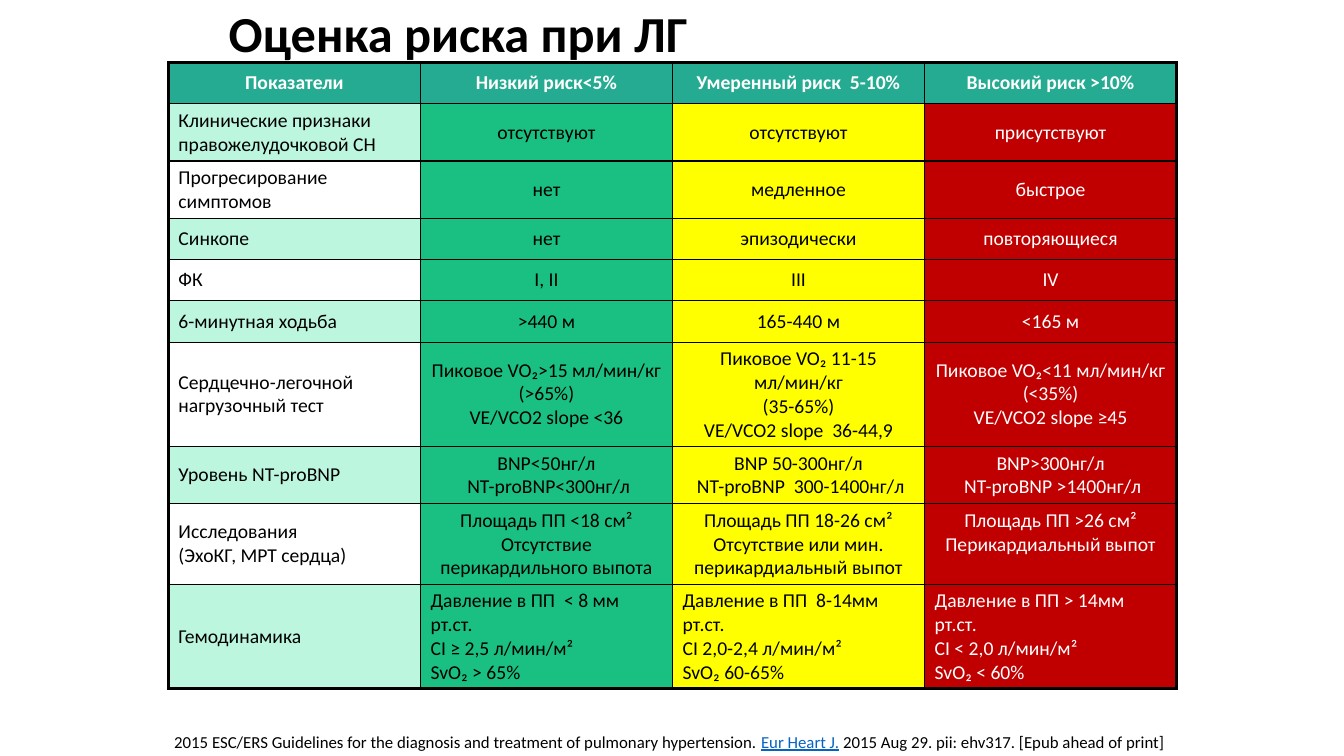
from dataclasses import dataclass

from lxml.etree import SubElement
from pptx import Presentation
from pptx.dml.color import RGBColor
from pptx.enum.text import MSO_ANCHOR as Anchor, PP_ALIGN as Align
from pptx.oxml.ns import qn
from pptx.util import Inches, Pt

FONT = "Calibri"
BLACK, WHITE = "000000", "FFFFFF"
HEAD, MINT = "25AB91", "BCF6DF"
RISKS = ("1AC081", "FFFF00", "C00000")
THIN, THICK = 1, 2.25


@dataclass
class Row:
    cells: tuple[str, str, str, str]
    height: float = 0.41
    align: Align = Align.CENTER
    last: Anchor = Anchor.MIDDLE


@dataclass
class Span:
    text: str
    color: str = BLACK
    line: bool = False


ROWS = [
    Row(("Показатели", "Низкий риск<5%", "Умеренный риск  5-10%", "Высокий риск >10%")),
    Row(("Клинические признаки правожелудочковой СН",
         "отсутствуют", "отсутствуют", "присутствуют")),
    Row(("Прогресирование симптомов", "нет", "медленное", "быстрое")),
    Row(("Синкопе", "нет", "эпизодически", "повторяющиеся")),
    Row(("ФК", "І, ІІ", "ІІІ", "ІV")),
    Row(("6-минутная ходьба", ">440 м", "165-440 м", "<165 м")),
    Row(("Сердцечно-легочной нагрузочный тест",
         "Пиковое VO₂>15 мл/мин/кг\n(>65%)\nVE/VCO2 slope <36",
         "Пиковое VO₂ 11-15 мл/мин/кг\n(35-65%)\nVE/VCO2 slope  36-44,9",
         "Пиковое VO₂<11 мл/мин/кг\n(<35%)\nVE/VCO2 slope ≥45"), 0.87),
    Row(("Уровень NТ-proBNP",
         "BNP<50нг/л\n NТ-proBNP<300нг/л",
         "BNP 50-300нг/л\n NТ-proBNP  300-1400нг/л",
         "BNP>300нг/л\n NТ-proBNP >1400нг/л")),
    Row(("Исследования\n(ЭхоКГ, МРТ сердца)",
         "Площадь ПП <18 см²\nОтсутствие перикардильного выпота",
         "Площадь ПП 18-26 см²\nОтсутствие или мин. перикардиальный выпот",
         "Площадь ПП >26 см²\nПерикардиальный выпот"), last=Anchor.TOP),
    Row(("Гемодинамика",
         "Давление в ПП  < 8 мм рт.ст.\nСІ ≥ 2,5 л/мин/м²\nSvO₂ > 65%",
         "Давление в ПП  8-14мм рт.ст.\nСІ 2,0-2,4 л/мин/м²\nSvO₂ 60-65%",
         "Давление в ПП > 14мм рт.ст.\nСІ < 2,0 л/мин/м²\nSvO₂ < 60%"),
        0.9, Align.LEFT),
]

SOURCE = [
    Span("2015 ESC/ERS Guidelines for the diagnosis and treatment "
         "of pulmonary hypertension. "),
    Span("Eur Heart J.", "0563C1", True),
    Span(" 2015 Aug 29. pii: ehv317. [Epub ahead of print]"),
]


def rgb(color: str) -> RGBColor:
    return RGBColor.from_string(color)


def write(para, span: Span, size: float, bold: bool = False) -> None:
    run = para.add_run()
    run.text = span.text
    font = run.font
    font.name, font.size, font.bold = FONT, Pt(size), bold
    font.color.rgb = rgb(span.color)
    if span.line:
        font.underline = True


def add_box(slide, left: float, top: float, width: float, height: float):
    box = slide.shapes.add_textbox(*map(Inches, (left, top, width, height)))
    box.text_frame.word_wrap = True
    return box.text_frame


def edge(cell, side: str, width: float) -> None:
    line = SubElement(cell._tc.get_or_add_tcPr(), qn(f"a:ln{side}"), w=str(Pt(width)))
    fill = SubElement(line, qn("a:solidFill"))
    SubElement(fill, qn("a:srgbClr"), val=BLACK)


def colors(row: int, col: int) -> tuple[str, str]:
    """Return the fill and text colours of a cell."""
    if row == 0:
        return HEAD, WHITE
    if col == 0:
        return (MINT if row % 2 else WHITE), BLACK
    return RISKS[col - 1], (WHITE if col == 3 else BLACK)


def add_grid(slide) -> None:
    count = len(ROWS)
    frame = slide.shapes.add_table(
        count, 4, Inches(1.67), Inches(0.62), Inches(10), Inches(6.19))
    table = frame.table
    for col in table.columns:
        col.width = Inches(2.5)
    for i, row in enumerate(ROWS):
        table.rows[i].height = Inches(row.height)
        for j, text in enumerate(row.cells):
            cell = table.cell(i, j)
            outer = {"L": j == 0, "R": j == 3, "T": i == 0, "B": i == count - 1}
            for side, thick in outer.items():
                edge(cell, side, THICK if thick else THIN)
            back, ink = colors(i, j)
            cell.fill.solid()
            cell.fill.fore_color.rgb = rgb(back)
            cell.vertical_anchor = row.last if j == 3 else Anchor.MIDDLE
            body = cell.text_frame
            for k, part in enumerate(text.split("\n")):
                para = body.add_paragraph() if k else body.paragraphs[0]
                para.alignment = Align.LEFT if i and j == 0 else row.align
                write(para, Span(part, ink), 14, i == 0)


def main() -> None:
    deck = Presentation()
    deck.slide_width, deck.slide_height = Inches(13.33), Inches(7.5)
    slide = deck.slides.add_slide(deck.slide_layouts[6])

    title = add_box(slide, 2.17, -0.27, 9, 1.25)
    title.vertical_anchor = Anchor.MIDDLE
    title.paragraphs[0].line_spacing = 0.9
    write(title.paragraphs[0], Span("Оценка риска при ЛГ"), 36, True)

    add_grid(slide)

    note = add_box(slide, 1.63, 7.21, 10.47, 0.3)
    for span in SOURCE:
        write(note.paragraphs[0], span, 12)
    deck.save("out.pptx")


if __name__ == "__main__":
    main()
